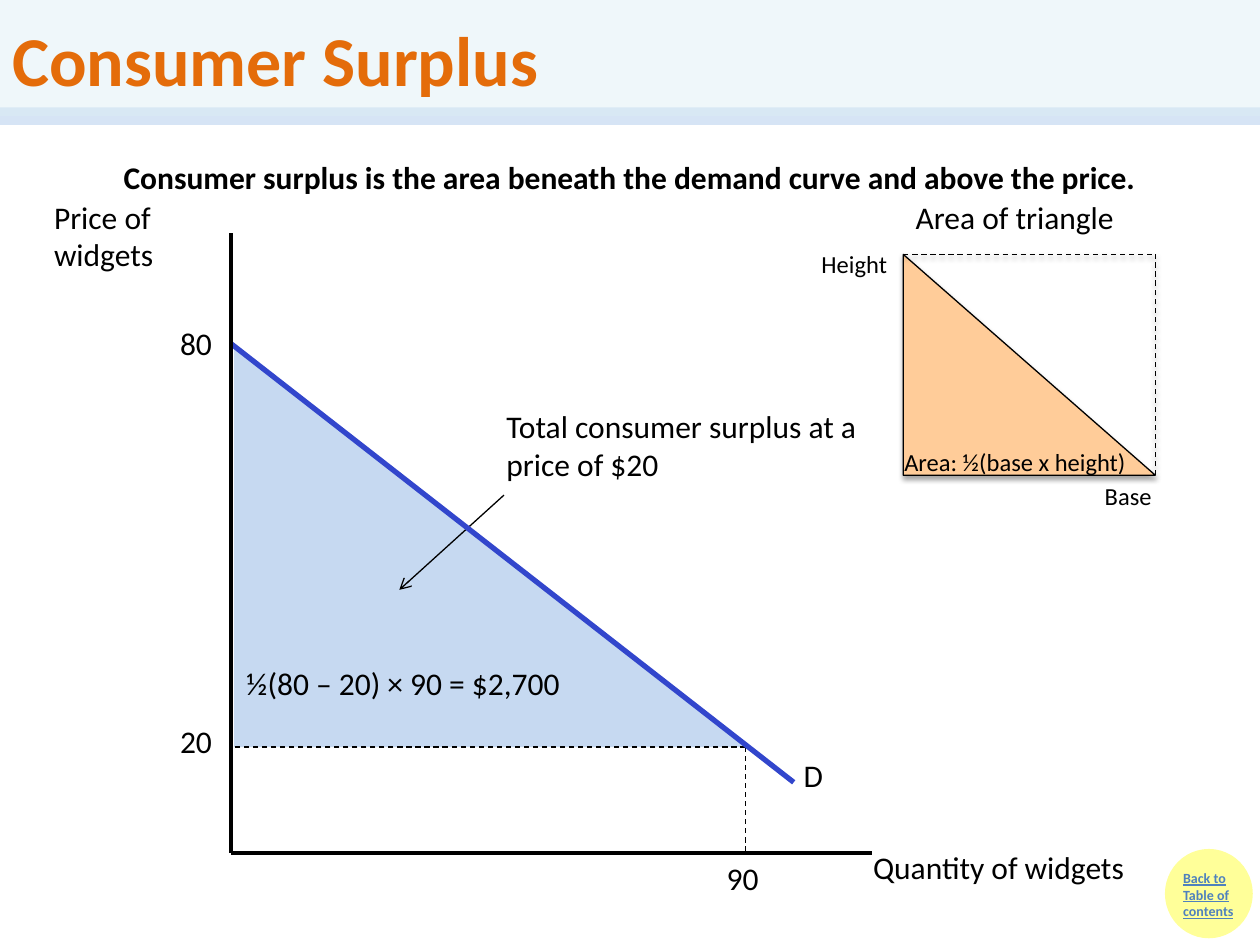
from dataclasses import dataclass
from typing import Optional

from lxml.etree import SubElement
from pptx import Presentation
from pptx.dml.color import RGBColor
from pptx.enum.dml import MSO_LINE as Dash
from pptx.enum.shapes import MSO_CONNECTOR as Connector, MSO_SHAPE as Preset
from pptx.enum.text import MSO_ANCHOR as Anchor, PP_ALIGN as Align
from pptx.oxml.ns import qn
from pptx.util import Cm, Pt

BLACK = RGBColor(0x00, 0x00, 0x00)
ORANGE = RGBColor(0xE4, 0x6C, 0x0A)
TITLE_FILL = RGBColor(0xDB, 0xEE, 0xF4)
PALE_BLUE = RGBColor(0xC6, 0xD9, 0xF1)
DEMAND_BLUE = RGBColor(0x32, 0x46, 0xCC)
LINK_BLUE = RGBColor(0x4F, 0x81, 0xBD)
PEACH = RGBColor(0xFF, 0xCC, 0x99)
YELLOW = RGBColor(0xFF, 0xFF, 0x99)

PAGE_WIDTH, PAGE_HEIGHT = 25.4, 19.05
TITLE_HEIGHT = 2.34

# Key positions of the demand graph, in centimetres
AXIS_X, AXIS_Y = 4.66, 17.2
PRICE_Y, QUANTITY_X = 15.06, 15.03

# Corners of the small triangle
TRIANGLE_LEFT, TRIANGLE_TOP = 18.21, 5.13
TRIANGLE_RIGHT, TRIANGLE_BOTTOM = 23.29, 9.58


@dataclass
class Shadow:
    opacity: int
    distance: float
    blur: float = 3.1


@dataclass
class Label:
    text: str
    left: float
    top: float
    width: float
    height: float = 1.02
    size: int = 18
    wrap: bool = False
    bold: bool = False
    underline: bool = False
    color: RGBColor = BLACK
    align: Align = Align.LEFT


@dataclass
class Line:
    x1: float
    y1: float
    x2: float
    y2: float
    width: float = 0.75
    color: RGBColor = BLACK
    dashed: bool = False
    arrow: bool = False
    opacity: int = 100
    shadow: Optional[Shadow] = None


def set_opacity(parent, percent: int) -> None:
    color = next(parent.iter(qn("a:srgbClr")))
    SubElement(color, qn("a:alpha"), val=str(percent * 1000))


def set_shadow(properties, shadow: Optional[Shadow]) -> None:
    """Replace the theme's effect with the given shadow, or with none."""
    effects = SubElement(properties, qn("a:effectLst"))
    if shadow:
        outer = SubElement(
            effects, qn("a:outerShdw"), blurRad=str(Pt(shadow.blur)),
            dist=str(Pt(shadow.distance)), dir="5400000", rotWithShape="0")
        SubElement(outer, qn("a:srgbClr"), val=str(BLACK))
        set_opacity(outer, shadow.opacity)


def add_span(para, text: str, size: int, color: RGBColor,
             bold: bool = False, underline: bool = False) -> None:
    span = para.add_run()
    span.text = text
    font = span.font
    font.name, font.size, font.bold = "Calibri", Pt(size), bold
    font.color.rgb = color
    if underline:
        font.underline = True


def draw_label(page, label: Label) -> None:
    box = page.shapes.add_textbox(
        Cm(label.left), Cm(label.top), Cm(label.width), Cm(label.height))
    box.text_frame.word_wrap = label.wrap
    para = box.text_frame.paragraphs[0]
    para.alignment = label.align
    add_span(para, label.text, label.size, label.color, label.bold, label.underline)


def draw_line(page, line: Line) -> None:
    connector = page.shapes.add_connector(
        Connector.STRAIGHT, Cm(line.x1), Cm(line.y1), Cm(line.x2), Cm(line.y2))
    connector.line.width = Pt(line.width)
    connector.line.color.rgb = line.color
    if line.dashed:
        connector.line.dash_style = Dash.DASH
    properties = connector._element.spPr
    outline = properties.find(qn("a:ln"))
    if line.opacity < 100:
        set_opacity(outline, line.opacity)
    if line.arrow:
        SubElement(outline, qn("a:tailEnd"), type="arrow")
    set_shadow(properties, line.shadow)


def draw_shape(page, preset: Preset, left: float, top: float, width: float,
               height: float, fill: RGBColor, outline: Optional[RGBColor] = None,
               outline_width: float = 0.75, shadow: Optional[Shadow] = None):
    shape = page.shapes.add_shape(preset, Cm(left), Cm(top), Cm(width), Cm(height))
    shape.fill.solid()
    shape.fill.fore_color.rgb = fill
    if outline is None:
        shape.line.fill.background()
    else:
        shape.line.color.rgb = outline
        shape.line.width = Pt(outline_width)
    set_shadow(shape._element.spPr, shadow)
    return shape


def draw_frame(page) -> None:
    """Draw the title band and the contents button."""
    draw_line(page, Line(0, TITLE_HEIGHT, PAGE_WIDTH, TITLE_HEIGHT, 10, PALE_BLUE, opacity=71))
    draw_shape(page, Preset.OVAL, 23.52, 17.15, 1.7, 1.73, YELLOW, YELLOW, 2)
    draw_label(page, Label("Back to Table of contents", 23.6, 17.4, 1.83, 1.7, 8,
                           wrap=True, bold=True, underline=True, color=LINK_BLUE))
    title = draw_shape(page, Preset.RECTANGLE, 0, 0, PAGE_WIDTH, TITLE_HEIGHT, TITLE_FILL)
    set_opacity(title._element.spPr, 44)
    title.text_frame.word_wrap = True
    title.text_frame.vertical_anchor = Anchor.MIDDLE
    para = title.text_frame.paragraphs[0]
    para.alignment = Align.LEFT
    add_span(para, "Consumer Surplus", 40, ORANGE, bold=True)


def draw_area_formula(page) -> None:
    draw_shape(page, Preset.RIGHT_TRIANGLE, TRIANGLE_LEFT, TRIANGLE_TOP,
               TRIANGLE_RIGHT - TRIANGLE_LEFT, TRIANGLE_BOTTOM - TRIANGLE_TOP,
               PEACH, BLACK, shadow=Shadow(35, 1.8))
    for label in (
        Label("Area of triangle", TRIANGLE_LEFT, 3.86, 4.85),
        Label("Height", 16.31, 4.9, 1.93, 0.86, 14),
        Label("Base", 22.02, TRIANGLE_BOTTOM, 1.47, 0.86, 14),
        Label("Area: ½(base x height)", 17.98, 8.89, 5.54, 0.86, 14, wrap=True),
    ):
        draw_label(page, label)
    for x, y in ((TRIANGLE_LEFT, TRIANGLE_TOP), (TRIANGLE_RIGHT, TRIANGLE_BOTTOM)):
        draw_line(page, Line(x, y, TRIANGLE_RIGHT, TRIANGLE_TOP,
                             dashed=True, shadow=Shadow(38, 1.6)))


def draw_demand_graph(page) -> None:
    for line in (
        Line(QUANTITY_X, PRICE_Y, QUANTITY_X, AXIS_Y, dashed=True),
        Line(QUANTITY_X, PRICE_Y, AXIS_X, PRICE_Y, dashed=True),
        Line(AXIS_X, 6.93, 16, 15.77, 3, DEMAND_BLUE),
        Line(AXIS_X, 4.7, AXIS_X, AXIS_Y, 2),
        Line(AXIS_X, AXIS_Y, 17.58, AXIS_Y, 2),
    ):
        draw_line(page, line)
    for label in (
        Label("80", 3.38, 6.4, 1.17),
        Label("20", 3.38, 14.43, 1.17),
        Label("90", 14.4, AXIS_Y, 1.17),
        Label("D", 15.95, 15.11, 0.94),
        Label("Price of widgets", 0.84, 3.86, 3.81, 1.8, wrap=True),
        Label("Quantity of widgets", 17.35, 16.97, 7.42, wrap=True),
        Label("Consumer surplus is the area beneath the demand curve and above the price.",
              0, 3.07, PAGE_WIDTH, wrap=True, bold=True, align=Align.CENTER),
    ):
        draw_label(page, label)


def draw_surplus(page) -> None:
    draw_shape(page, Preset.RIGHT_TRIANGLE, 4.72, 7.01, 10.36, 8.05, PALE_BLUE)
    draw_label(page, Label("Total consumer surplus at a price of $20",
                           9.96, 8.08, 7.62, 1.8, wrap=True))
    draw_line(page, Line(10.16, 9.98, 8.05, 11.89, arrow=True))
    draw_label(page, Label("½(80 – 20) × 90 = $2,700", 4.72, 13.26, 7.77, wrap=True))


def main() -> None:
    deck = Presentation()
    deck.slide_width, deck.slide_height = Cm(PAGE_WIDTH), Cm(PAGE_HEIGHT)
    page = deck.slides.add_slide(deck.slide_layouts[6])
    for draw in (draw_frame, draw_surplus, draw_area_formula, draw_demand_graph):
        draw(page)
    deck.save("out.pptx")


if __name__ == "__main__":
    main()
